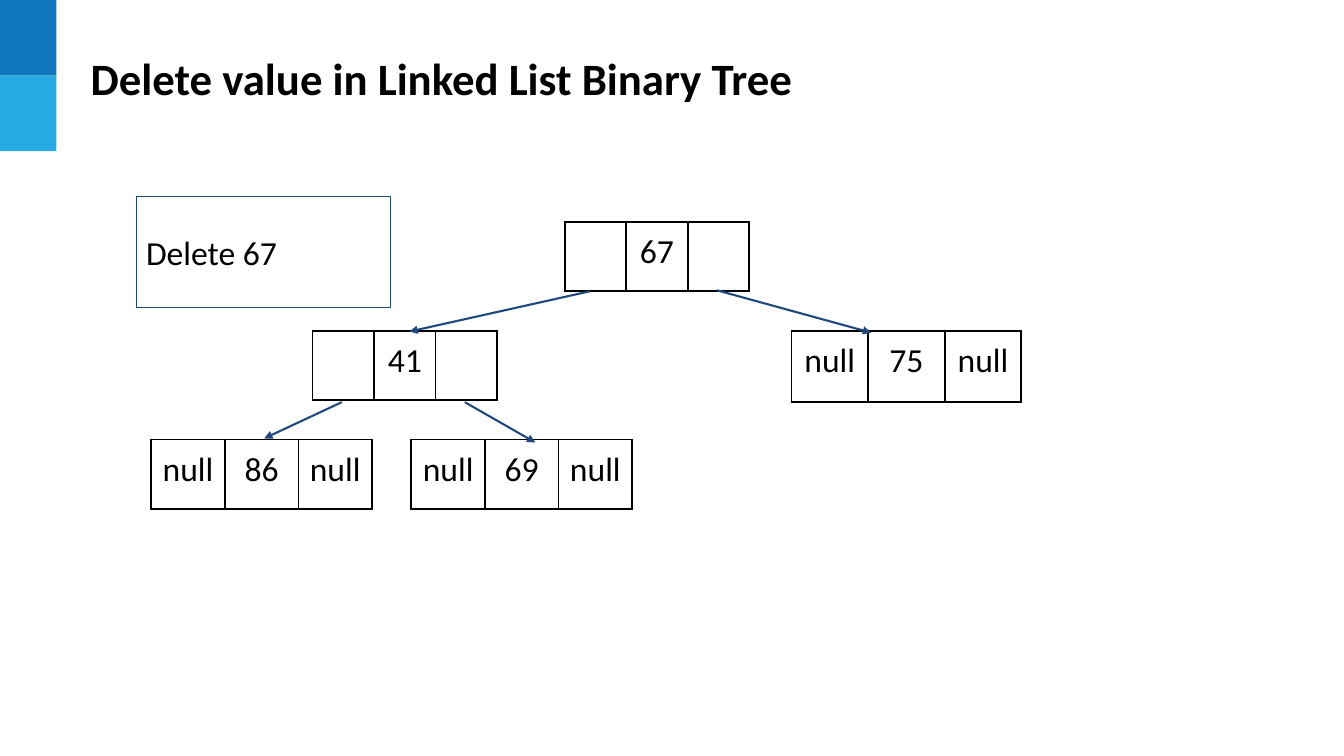
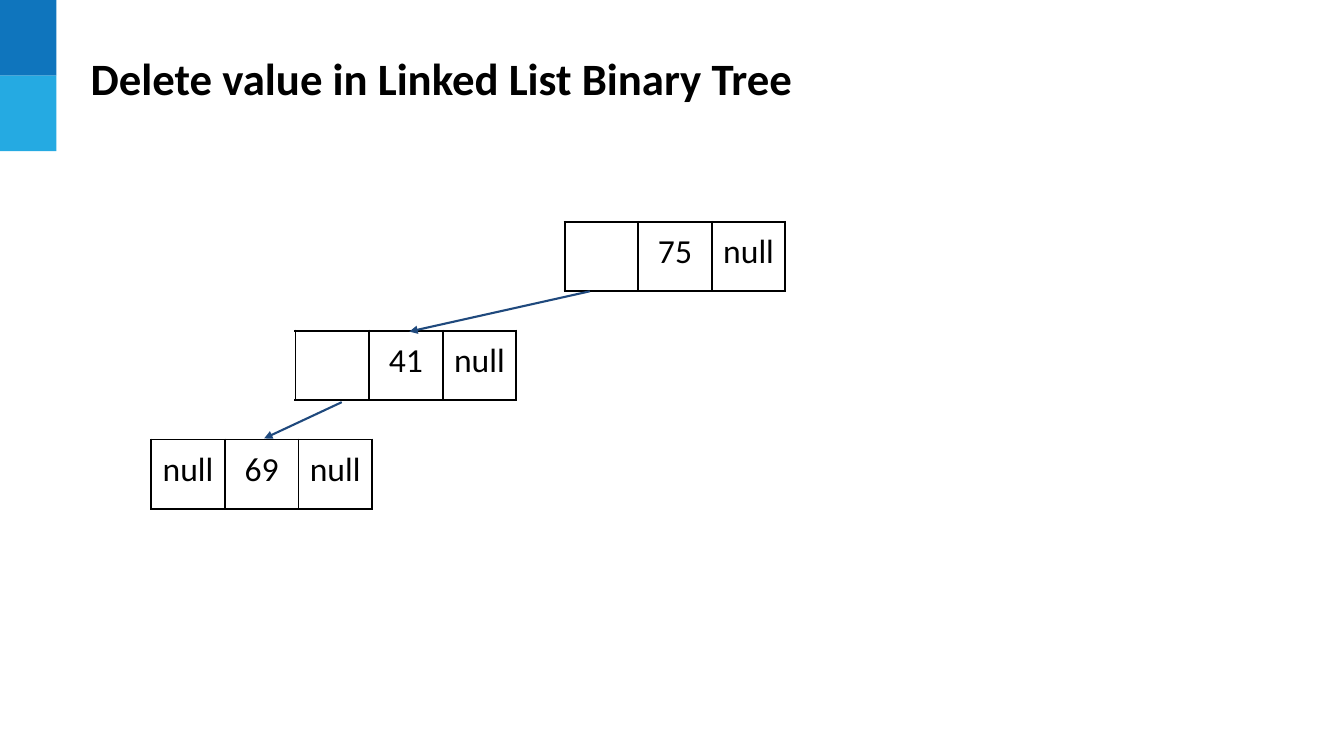
import lxml.etree
import pptx
import pptx.dml.color
import pptx.enum.shapes
import pptx.enum.text
import pptx.oxml.ns
import pptx.util

Inches = pptx.util.Inches
Pt = pptx.util.Pt
qn = pptx.oxml.ns.qn

COLOURS = {
    "dark band": "0F75BD",
    "light band": "25AAE2",
    "link": "1F497D",
    "text": "000000",
    "paper": "FFFFFF",
}
FONT = "Calibri"
TITLE = "Delete value in Linked List Binary Tree"
BAND_WIDTH, BAND_HEIGHT = 0.56, 0.75
NARROW, MEDIUM, WIDE = 0.61, 0.73, 0.76  # column widths of a node
ROOT, MIDDLE, LEAF = 2.2, 3.28, 4.36  # top of each tree level

# A node is left, top, column width, row height and its three values.
# A link is its start x, start y, end x and end y.
ROOT_TO_LEFT = (5.85, 2.89, 4.06, 3.29)
LEFT_TO_LEAF = (3.39, 3.99, 2.62, 4.35)
TREES = [
    {
        "nodes": [
            (5.6, ROOT, NARROW, 0.69, ("", "67", "")),
            (3.1, MIDDLE, NARROW, 0.69, ("", "41", "")),
            (7.85, MIDDLE, WIDE, 0.71, ("null", "75", "null")),
            (1.5, LEAF, MEDIUM, 0.69, ("null", "86", "null")),
            (4.08, LEAF, MEDIUM, 0.69, ("null", "69", "null")),
        ],
        "links": [
            ROOT_TO_LEFT,
            (7.11, 2.88, 8.64, 3.3),
            LEFT_TO_LEAF,
            (4.61, 3.99, 5.31, 4.39),
        ],
        "task": "Delete 67",
    },
    {
        "nodes": [
            (5.6, ROOT, MEDIUM, 0.69, ("", "75", "null")),
            (2.93, MIDDLE, MEDIUM, 0.69, ("", "41", "null")),
            (1.5, LEAF, MEDIUM, 0.69, ("null", "69", "null")),
        ],
        "links": [ROOT_TO_LEFT, LEFT_TO_LEAF],
        "task": None,
    },
]


def colour(name):
    return pptx.dml.color.RGBColor.from_string(COLOURS[name])


def write(frame, text, size=24, bold=False, align=pptx.enum.text.PP_ALIGN.LEFT):
    para = frame.paragraphs[0]
    para.alignment = align
    span = para.add_run()
    span.text = text
    span.font.name = FONT
    span.font.size = Pt(size)
    span.font.bold = bold
    span.font.color.rgb = colour("text")


deck = pptx.Presentation()
deck.slide_width = Inches(13.33)
deck.slide_height = Inches(7.5)

for tree in TREES:
    page = deck.slides.add_slide(deck.slide_layouts[6])

    for index, band_colour in enumerate(("dark band", "light band")):
        band = page.shapes.add_shape(
            pptx.enum.shapes.MSO_SHAPE.RECTANGLE, 0, Inches(index * BAND_HEIGHT),
            Inches(BAND_WIDTH), Inches(BAND_HEIGHT))
        band.shadow.inherit = False
        band.fill.solid()
        band.fill.fore_color.rgb = colour(band_colour)
        band.line.fill.background()

    title = page.shapes.add_textbox(Inches(0.8), Inches(0.45), Inches(11.95), Inches(0.64))
    title.text_frame.word_wrap = True
    title.text_frame.vertical_anchor = pptx.enum.text.MSO_ANCHOR.MIDDLE
    write(title.text_frame, TITLE, size=32, bold=True)

    for left, top, column_width, row_height, values in tree["nodes"]:
        node = page.shapes.add_table(
            1, len(values), Inches(left), Inches(top),
            Inches(column_width * len(values)), Inches(row_height)).table
        node.first_row = False
        node.horz_banding = False
        for column, value in enumerate(values):
            node.columns[column].width = Inches(column_width)
            cell = node.cell(0, column)
            cell.margin_top = cell.margin_bottom = Inches(0.1)
            properties = cell._tc.get_or_add_tcPr()
            for side in ("a:lnL", "a:lnR", "a:lnT", "a:lnB"):
                border = lxml.etree.SubElement(properties, qn(side), w=str(Pt(1.5)))
                fill = lxml.etree.SubElement(border, qn("a:solidFill"))
                lxml.etree.SubElement(fill, qn("a:srgbClr"), val=COLOURS["text"])
            cell.fill.background()
            if value:
                write(cell.text_frame, value, align=pptx.enum.text.PP_ALIGN.CENTER)

    for ends in tree["links"]:
        link = page.shapes.add_connector(
            pptx.enum.shapes.MSO_CONNECTOR.STRAIGHT, *(Inches(end) for end in ends))
        link.line.color.rgb = colour("link")
        link.line.width = Pt(1.5)
        lxml.etree.SubElement(link.line._get_or_add_ln(), qn("a:tailEnd"), type="triangle")
        lxml.etree.SubElement(link._element.spPr, qn("a:effectLst"))

    if tree["task"]:
        box = page.shapes.add_shape(
            pptx.enum.shapes.MSO_SHAPE.RECTANGLE,
            Inches(1.35), Inches(1.95), Inches(2.52), Inches(1.1))
        box.shadow.inherit = False
        box.fill.solid()
        box.fill.fore_color.rgb = colour("paper")
        box.line.color.rgb = colour("link")
        box.line.width = Pt(0.75)
        box.text_frame.word_wrap = True
        box.text_frame.margin_top = box.text_frame.margin_bottom = Inches(0.1)
        box.text_frame.vertical_anchor = pptx.enum.text.MSO_ANCHOR.MIDDLE
        write(box.text_frame, tree["task"])

deck.save("out.pptx")
